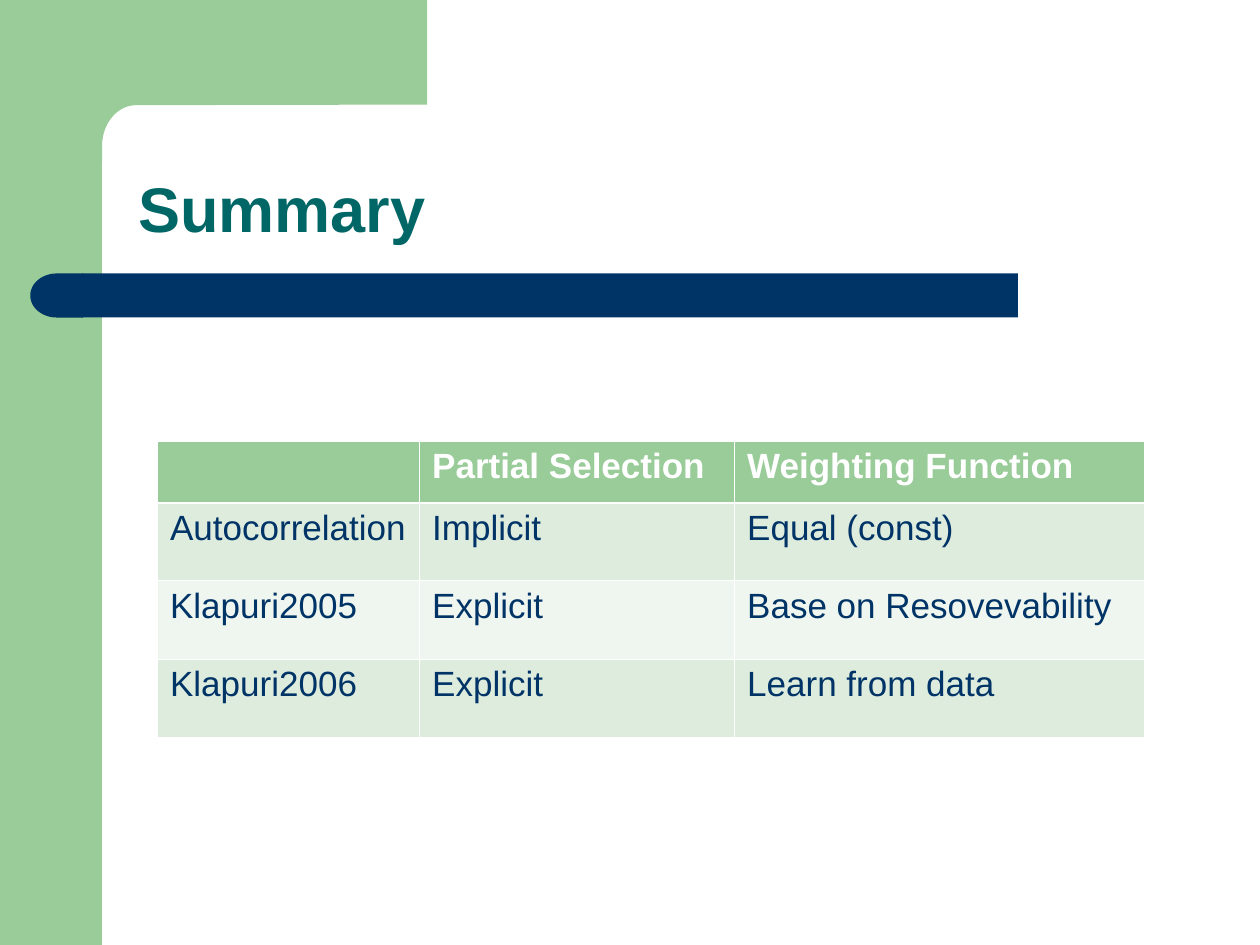
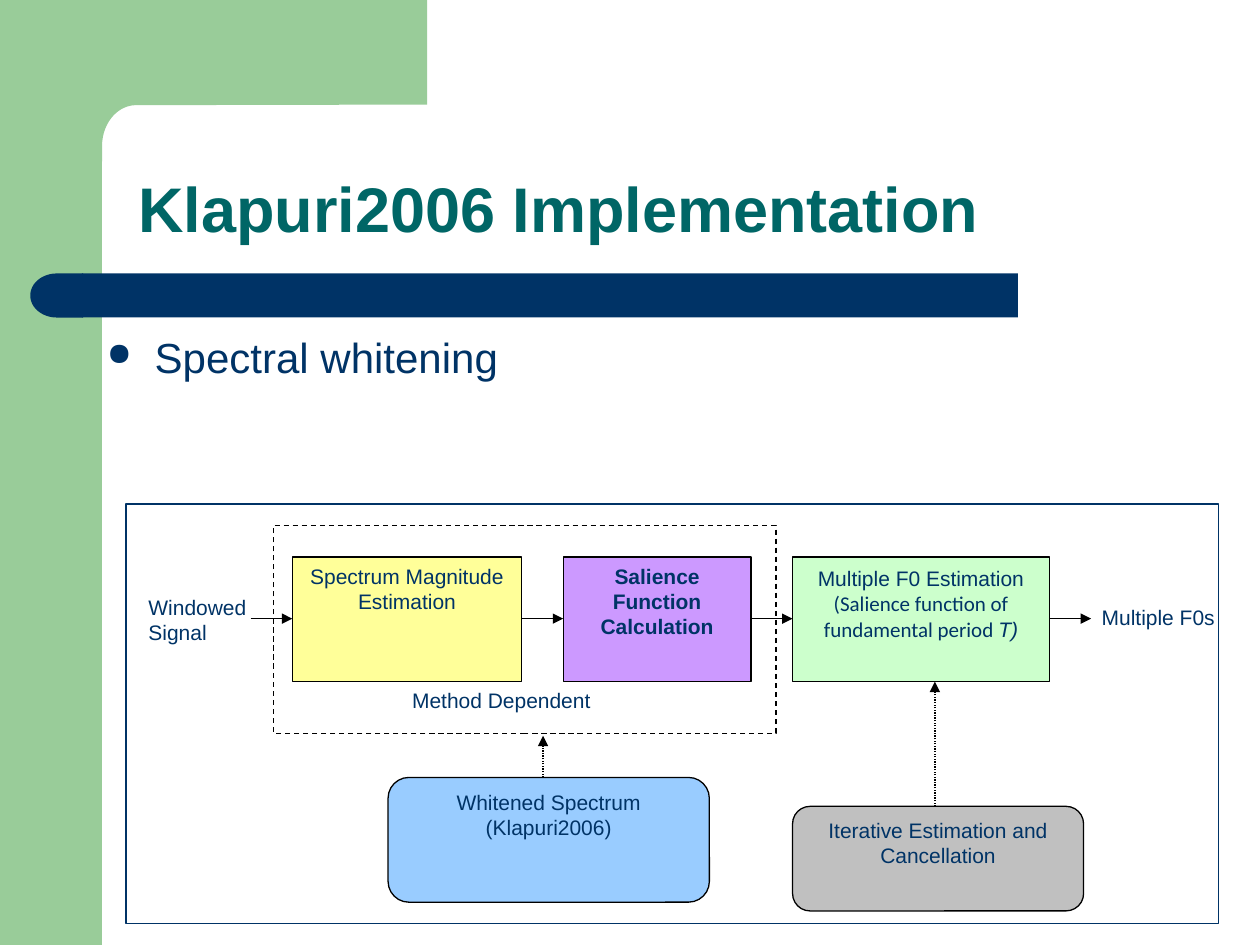
from math import cos, pi, sin

from lxml import etree
from pptx import Presentation
from pptx.dml.color import RGBColor
from pptx.enum.dml import MSO_LINE
from pptx.enum.shapes import MSO_CONNECTOR, MSO_SHAPE
from pptx.enum.text import MSO_ANCHOR, PP_ALIGN
from pptx.oxml.ns import qn
from pptx.util import Pt

PX = 9144
GREEN, NAVY, TEAL = "99CC99", "003366", "006666"
WHITE, BLACK = "FFFFFF", "000000"
BANDS = ["DEECDE", "EFF6EF"]
SUMMARY = [
    ["", "Partial Selection", "Weighting Function"],
    ["Autocorrelation", "Implicit", "Equal (const)"],
    ["Klapuri2005", "Explicit", "Base on Resovevability"],
    ["Klapuri2006", "Explicit", "Learn from data"],
]


def px(*lengths):
    return [round(length * PX) for length in lengths]


def color(value):
    return RGBColor.from_string(value)


def style(target, values):
    for name, value in values.items():
        setattr(target, name, value)


def child(parent, tag, **attributes):
    return etree.SubElement(parent, qn(tag), attributes)


class Deck:
    title_font = {"size": Pt(36), "bold": True}
    body_font = {"size": Pt(24)}
    table_font = {"size": Pt(20)}
    label_font = {"size": Pt(12)}

    def __init__(self):
        self.presentation = Presentation()
        width, height = px(1000, 750)
        style(self.presentation, {"slide_width": width, "slide_height": height})
        self.slide = None

    def new_slide(self, title):
        layout = self.presentation.slide_layouts[6]
        self.slide = self.presentation.slides.add_slide(layout)
        self.shape((0, 0, 81, 750), GREEN)
        self.corner()
        self.shape((65, 217, 743, 35), NAVY)
        cap = self.shape((24, 217, 42, 35), NAVY, kind=MSO_SHAPE.FLOWCHART_DELAY)
        cap.rotation = 180
        box = self.text((100, 91, 851, 109), [title], self.title_font, TEAL)
        box.text_frame.vertical_anchor = MSO_ANCHOR.BOTTOM
        box.text_frame.paragraphs[0].line_spacing = 0.9

    def corner(self):
        steps = 24
        angles = [pi / 2 * step / steps for step in range(steps + 1)]
        arc = [(108 - 27 * sin(angle), 116 - 32.5 * cos(angle)) for angle in angles]
        outline = [(339, 0), (339, 83), *arc, (81, 128), (48, 128), (48, 0)]
        points = [px(*point) for point in outline]
        builder = self.slide.shapes.build_freeform(*points[0])
        builder.add_line_segments(points[1:])
        self.paint(builder.convert_to_shape(), GREEN)

    def paint(self, shape, fill=None, line=None, dash=None):
        shape.shadow.inherit = False
        if fill:
            shape.fill.solid()
            shape.fill.fore_color.rgb = color(fill)
        else:
            shape.fill.background()
        if line:
            self.stroke(shape.line, line, dash)
        else:
            shape.line.fill.background()

    def stroke(self, line, line_color, dash):
        line.color.rgb = color(line_color)
        style(line, {"width": Pt(0.75), "dash_style": dash})

    def shape(self, place, fill=None, line=None, dash=None, kind=MSO_SHAPE.RECTANGLE):
        shape = self.slide.shapes.add_shape(kind, *px(*place))
        self.paint(shape, fill, line, dash)
        return shape

    def runs(self, paragraph, pieces, font, font_color):
        for piece in pieces:
            words, changes = piece if isinstance(piece, tuple) else (piece, {})
            run = paragraph.add_run()
            run.text = words
            style(run.font, {"name": "Arial", **font, **changes})
            run.font.color.rgb = color(font_color)

    def paragraphs(self, shape, lines, font, font_color=NAVY, align=PP_ALIGN.LEFT, top=5):
        frame = shape.text_frame
        left, upper = px(10, top)
        style(frame, {"word_wrap": True, "vertical_anchor": MSO_ANCHOR.TOP,
                      "margin_left": left, "margin_right": left, "margin_top": upper})
        for index, line in enumerate(lines):
            paragraph = frame.add_paragraph() if index else frame.paragraphs[0]
            paragraph.alignment = align
            pieces = line if isinstance(line, list) else [line]
            self.runs(paragraph, pieces, font, font_color)

    def text(self, place, lines, font, font_color=NAVY, align=PP_ALIGN.LEFT):
        box = self.slide.shapes.add_textbox(*px(*place))
        self.paragraphs(box, lines, font, font_color, align)
        return box

    def bullet(self, place, words):
        box = self.slide.shapes.add_textbox(*px(*place))
        paragraph = box.text_frame.paragraphs[0]
        indent, = px(38)
        properties = paragraph._p.get_or_add_pPr()
        properties.set("marL", str(indent))
        properties.set("indent", str(-indent))
        child(child(properties, "a:buClr"), "a:srgbClr", val=NAVY)
        child(properties, "a:buSzPct", val="75000")
        child(properties, "a:buChar", char="●")
        self.paragraphs(box, [words], self.body_font)

    def block(self, place, fill, lines, bold=False, top=5, kind=MSO_SHAPE.RECTANGLE):
        shape = self.shape(place, fill, BLACK, kind=kind)
        font = {**self.label_font, "bold": bold}
        self.paragraphs(shape, lines, font, align=PP_ALIGN.CENTER, top=top)

    def arrow(self, start, end, dash=None):
        connector = self.slide.shapes.add_connector(
            MSO_CONNECTOR.STRAIGHT, *px(*start, *end))
        self.stroke(connector.line, BLACK, dash)
        properties = connector._element.spPr
        child(properties.find(qn("a:ln")), "a:tailEnd", type="triangle")
        child(properties, "a:effectLst")

    def border(self, cell, widths):
        properties = cell._tc.get_or_add_tcPr()
        for side, width in zip("LRTB", widths):
            line = child(properties, f"a:ln{side}", w=str(int(Pt(width))))
            child(child(line, "a:solidFill"), "a:srgbClr", val=WHITE)

    def table(self, place, rows, widths, heights):
        table = self.slide.shapes.add_table(
            len(rows), len(widths), *px(*place, sum(widths), sum(heights))).table
        for column, width in zip(table.columns, px(*widths)):
            column.width = width
        for index, (row, height) in enumerate(zip(rows, px(*heights))):
            table.rows[index].height = height
            header = index == 0
            font = {**self.table_font, "bold": header}
            top, bottom = 1.47 if index == 1 else 0.45, 1.47 if header else 0.45
            for column, words in enumerate(row):
                cell = table.cell(index, column)
                self.border(cell, [0.45, 0.45, top, bottom])
                cell.fill.solid()
                cell.fill.fore_color.rgb = color(GREEN if header else BANDS[(index - 1) % 2])
                if words:
                    paragraph = cell.text_frame.paragraphs[0]
                    self.runs(paragraph, [words], font, WHITE if header else NAVY)


def summary_slide(deck):
    deck.new_slide("Summary")
    deck.table((125, 350), SUMMARY, [208, 250, 325], [49, 62, 62, 62])


def implementation_slide(deck):
    deck.new_slide("Klapuri2006 Implementation")
    deck.bullet((75, 258, 900, 60), "Spectral whitening")
    deck.shape((217, 417, 399, 165), WHITE, BLACK, MSO_LINE.DASH)

    calibri = {"name": "Calibri"}
    estimation = [
        "Multiple F0 Estimation",
        [("(Salience function of", calibri)],
        [("fundamental period ", calibri), ("T)", {"italic": True})],
    ]
    stages = [
        (232, 182, "FFFF99", ["Spectrum Magnitude Estimation"], False, 5),
        (447, 149, "CC99FF", ["Salience Function Calculation"], True, 5),
        (629, 204, "CCFFCC", estimation, False, 7),
    ]
    for left, width, fill, lines, bold, top in stages:
        deck.block((left, 442, width, 99), fill, lines, bold, top)
    for tip in [232, 447, 629, 866]:
        deck.arrow((tip - 33, 491), (tip, 491))

    label = deck.label_font
    deck.text((108, 467, 116, 50), ["Windowed", "Signal"], label)
    deck.text((842, 475, 132, 66), ["Multiple F0s"], label, align=PP_ALIGN.RIGHT)
    deck.text((216, 541, 364, 49), ["Method Dependent"], label, align=PP_ALIGN.CENTER)

    inputs = [
        ((308, 617, 255, 99), "99CCFF", "Whitened Spectrum (Klapuri2006)", 431, 584),
        ((629, 640, 231, 83), "C0C0C0", "Iterative Estimation and Cancellation", 742, 541),
    ]
    for place, fill, words, x, tip in inputs:
        deck.block(place, fill, [words], top=5, kind=MSO_SHAPE.ROUNDED_RECTANGLE)
        deck.arrow((x, place[1]), (x, tip), MSO_LINE.ROUND_DOT)
    deck.shape((100, 400, 867, 333), line=NAVY)


def main():
    deck = Deck()
    summary_slide(deck)
    implementation_slide(deck)
    deck.presentation.save("out.pptx")


if __name__ == "__main__":
    main()
